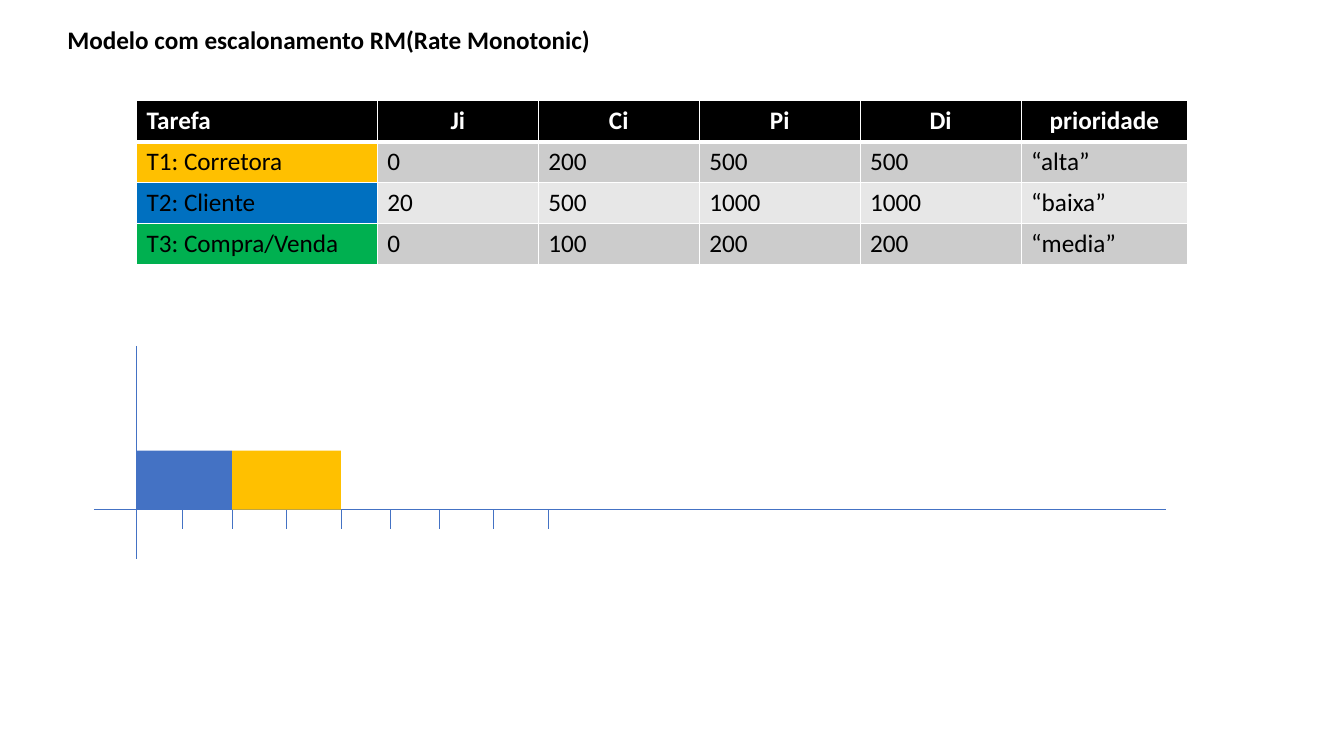
from lxml.etree import SubElement
from pptx import Presentation
from pptx.dml.color import RGBColor
from pptx.enum.shapes import MSO_CONNECTOR as CONN, MSO_SHAPE as SHAPE
from pptx.enum.text import MSO_AUTO_SIZE as AUTO, PP_ALIGN as ALIGN
from pptx.oxml.ns import qn
from pptx.util import Pt

BLACK = RGBColor(0x00, 0x00, 0x00)
WHITE = RGBColor(0xFF, 0xFF, 0xFF)
BLUE = RGBColor(0x44, 0x72, 0xC4)
AMBER = RGBColor(0xFF, 0xC0, 0x00)
CLIENT_BLUE = RGBColor(0x00, 0x70, 0xC0)
GREEN = RGBColor(0x00, 0xB0, 0x50)
DARK_BAND = RGBColor(0xCC, 0xCC, 0xCC)
LIGHT_BAND = RGBColor(0xE7, 0xE7, 0xE7)


class SlideBuilder:
    font = "Calibri"
    size = 18
    line_width = 0.5

    def __init__(self, slide):
        self.shapes = slide.shapes

    def format(self, p, color, bold):
        for r in p.runs:
            r.font.name = self.font
            r.font.size = Pt(self.size)
            r.font.bold = bold
            r.font.color.rgb = color

    def text(self, x, y, w, h, text):
        tf = self.shapes.add_textbox(Pt(x), Pt(y), Pt(w), Pt(h)).text_frame
        tf.text = text
        tf.word_wrap = False
        tf.auto_size = AUTO.SHAPE_TO_FIT_TEXT
        self.format(tf.paragraphs[0], BLACK, True)

    def line(self, x1, y1, x2, y2):
        s = self.shapes.add_connector(CONN.STRAIGHT, Pt(x1), Pt(y1), Pt(x2), Pt(y2))
        s.line.color.rgb = BLUE
        s.line.width = Pt(self.line_width)
        SubElement(s._element.spPr, qn("a:effectLst"))

    def rect(self, x, y, w, h, color):
        s = self.shapes.add_shape(SHAPE.RECTANGLE, Pt(x), Pt(y), Pt(w), Pt(h))
        s.shadow.inherit = False
        s.fill.solid()
        s.fill.fore_color.rgb = color
        s.line.fill.background()

    def border(self, cell, side, width):
        ln = SubElement(cell._tc.get_or_add_tcPr(), qn(f"a:ln{side}"), w=str(Pt(width)))
        fill = SubElement(ln, qn("a:solidFill"))
        SubElement(fill, qn("a:srgbClr"), val=str(WHITE))

    def cell(self, cell, text, fill, header, centered, widths):
        for side, width in widths.items():
            self.border(cell, side, width)
        cell.fill.solid()
        cell.fill.fore_color.rgb = fill
        cell.text_frame.text = text
        p = cell.text_frame.paragraphs[0]
        if centered:
            p.alignment = ALIGN.CENTER
        self.format(p, WHITE if header else BLACK, header)

    def table(self, x, y, col_widths, row_height, rows, task_colors):
        table = self.shapes.add_table(
            len(rows), len(col_widths), Pt(x), Pt(y),
            Pt(sum(col_widths)), Pt(row_height * len(rows))).table
        for column, width in zip(table.columns, col_widths):
            column.width = Pt(width)
        for i, values in enumerate(rows):
            table.rows[i].height = Pt(row_height)
            header = i == 0
            band = BLACK if header else DARK_BAND if i % 2 else LIGHT_BAND
            widths = {"L": 1, "R": 1, "T": 3 if i == 1 else 1, "B": 3 if header else 1}
            for j, value in enumerate(values):
                fill = task_colors[i - 1] if j == 0 and not header else band
                self.cell(table.cell(i, j), value, fill, header, header and j > 0, widths)


TASKS = [
    ("Tarefa", "Ji", "Ci", "Pi", "Di", "prioridade"),
    ("T1: Corretora", "0", "200", "500", "500", "“alta”"),
    ("T2: Cliente", "20", "500", "1000", "1000", "“baixa”"),
    ("T3: Compra/Venda", "0", "100", "200", "200", "“media”"),
]
ORIGIN_X, AXIS_Y = 97.5, 364
TICKS = [130.5, 165.75, 204.5, 243.5, 278.75, 314, 352.75, 391.5]
TICK_LENGTH = 14
BAR_HEIGHT = 42
BARS = [(ORIGIN_X, TICKS[1], BLUE), (TICKS[1], TICKS[3], AMBER)]

prs = Presentation()
prs.slide_width, prs.slide_height = Pt(960), Pt(540)
slide = SlideBuilder(prs.slides.add_slide(prs.slide_layouts[6]))

slide.line(ORIGIN_X, 247, ORIGIN_X, 399)
slide.line(67, AXIS_Y, 833, AXIS_Y)
slide.text(41, 14, 391, 29, "Modelo com escalonamento RM(Rate Monotonic)")
slide.table(ORIGIN_X, 72, [172, 115, 115, 115, 115, 119], 29.2, TASKS,
            [AMBER, CLIENT_BLUE, GREEN])
for tick in TICKS:
    slide.line(tick, AXIS_Y, tick, AXIS_Y + TICK_LENGTH)
for start, end, color in BARS:
    slide.rect(start, AXIS_Y - BAR_HEIGHT, end - start, BAR_HEIGHT, color)

prs.save("out.pptx")
